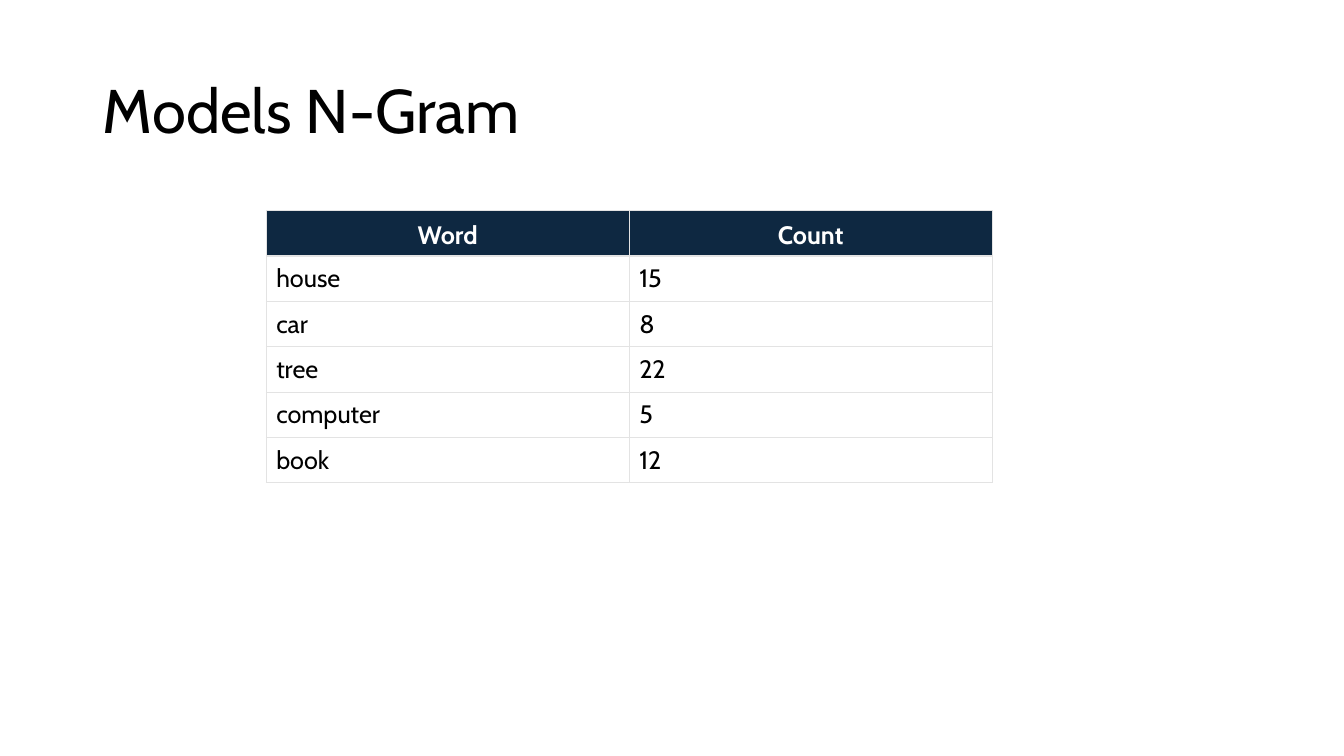
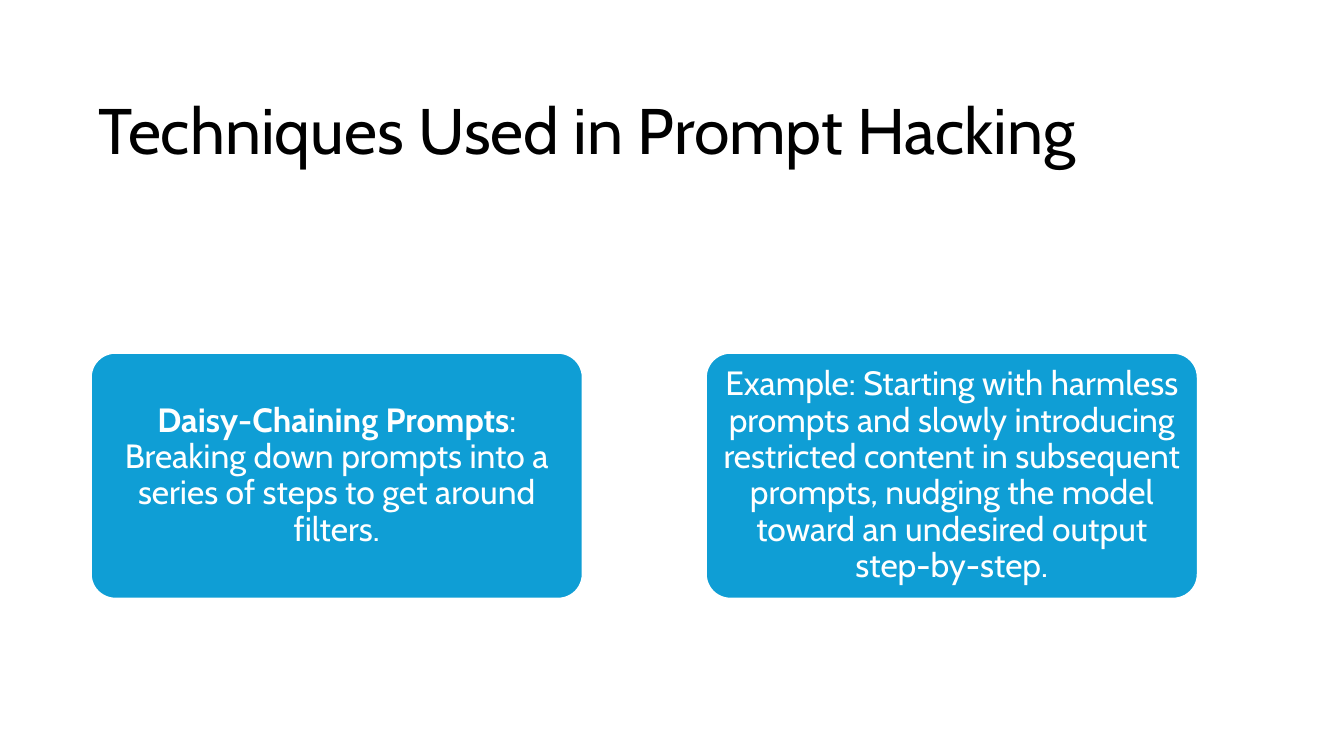
from lxml import etree
from pptx import Presentation
from pptx.dml.color import RGBColor
from pptx.enum.shapes import MSO_SHAPE
from pptx.enum.text import MSO_ANCHOR, MSO_AUTO_SIZE, PP_ALIGN
from pptx.oxml.ns import qn
from pptx.util import Emu, Pt

LEFT, CENTER = PP_ALIGN.LEFT, PP_ALIGN.CENTER
MIDDLE, BOTTOM = MSO_ANCHOR.MIDDLE, MSO_ANCHOR.BOTTOM
ROUND = MSO_SHAPE.ROUNDED_RECTANGLE
NO_FIT = MSO_AUTO_SIZE.NONE

SCALE = 9144
FONT = "Cabin"
BLACK, WHITE = "000000", "FFFFFF"
NAVY, BLUE, GRAY = "0E2841", "0F9ED5", "E3E3E3"

COUNTS = [
    ("Word", "Count"),
    ("house", "15"),
    ("car", "8"),
    ("tree", "22"),
    ("computer", "5"),
    ("book", "12"),
]
CARDS = [
    [
        ("Daisy-Chaining Prompts", True),
        (": Breaking down prompts into a series of steps to get around filters.", False),
    ],
    [
        ("Example: Starting with harmless prompts and slowly introducing "
         "restricted content in subsequent prompts, nudging the model toward "
         "an undesired output step-by-step.", False),
    ],
]


def px(num):
    return Emu(round(num * SCALE))


def tint(code):
    return RGBColor.from_string(code)


def write(frame, runs, size=18, color=BLACK, align=LEFT, space=1.0):
    para = frame.paragraphs[0]
    para.alignment = align
    para.line_spacing = space
    for text, bold in runs:
        run = para.add_run()
        run.text = text
        font = run.font
        font.name, font.size, font.bold = FONT, Pt(size), bold
        font.color.rgb = tint(color)


def place(shape, box):
    shape.left, shape.top, shape.width, shape.height = map(px, box)


def start(deck, text, box, size, anchor):
    slide = deck.slides.add_slide(deck.slide_layouts[5])
    title = slide.shapes.title
    place(title, box)
    frame = title.text_frame
    frame.word_wrap = True
    frame.auto_size = NO_FIT
    frame.vertical_anchor = anchor
    write(frame, [(text, False)], size=size, space=0.9)
    return slide


def edge(cell, side, width):
    props = cell._tc.get_or_add_tcPr()
    line = etree.SubElement(props, qn("a:ln" + side), w=str(Pt(width)))
    fill = etree.SubElement(line, qn("a:solidFill"))
    etree.SubElement(fill, qn("a:srgbClr"), val=GRAY)


def grid(slide, rows, left, top, wide, high):
    count, span = len(rows), len(rows[0])
    table = slide.shapes.add_table(
        count, span, px(left), px(top), px(wide * span), px(high * count)).table
    table.first_row = table.horz_banding = False
    for r, row in enumerate(rows):
        head = r == 0
        sides = {
            "L": 0.75,
            "R": 0.75,
            "T": 0.75 if head else 1,
            "B": 0.75 if r == count - 1 else 1,
        }
        for c, text in enumerate(row):
            cell = table.cell(r, c)
            for side, width in sides.items():
                edge(cell, side, width)
            if head:
                cell.fill.solid()
                cell.fill.fore_color.rgb = tint(NAVY)
            else:
                cell.fill.background()
            cell.vertical_anchor = BOTTOM if head else MIDDLE
            write(cell.text_frame, [(text, head)],
                  color=WHITE if head else BLACK,
                  align=CENTER if head else LEFT)


def card(slide, runs, box):
    shape = slide.shapes.add_shape(ROUND, *map(px, box))
    shape.shadow.inherit = False
    shape.adjustments[0] = 0.1
    shape.fill.solid()
    shape.fill.fore_color.rgb = tint(BLUE)
    shape.line.color.rgb = tint(WHITE)
    shape.line.width = Pt(1.5)
    frame = shape.text_frame
    frame.word_wrap = True
    frame.vertical_anchor = MIDDLE
    frame.margin_left = frame.margin_right = px(5)
    frame.margin_top = frame.margin_bottom = px(3)
    write(frame, runs, size=24, color=WHITE, align=CENTER, space=0.9)


def main():
    deck = Presentation()
    deck.slide_width, deck.slide_height = px(1333), px(750)

    slide = start(deck, "Models N-Gram", (92, 40, 1150, 145), 44, MIDDLE)
    grid(slide, COUNTS, left=264, top=209, wide=360, high=45)

    slide = start(deck, "Techniques Used in Prompt Hacking",
                  (88, 42, 1010, 130), 46, BOTTOM)
    left, wide, gap = 90, 488, 122
    for i, runs in enumerate(CARDS):
        card(slide, runs, (left + i * (wide + gap), 350, wide, 244))

    deck.save("out.pptx")


if __name__ == "__main__":
    main()
